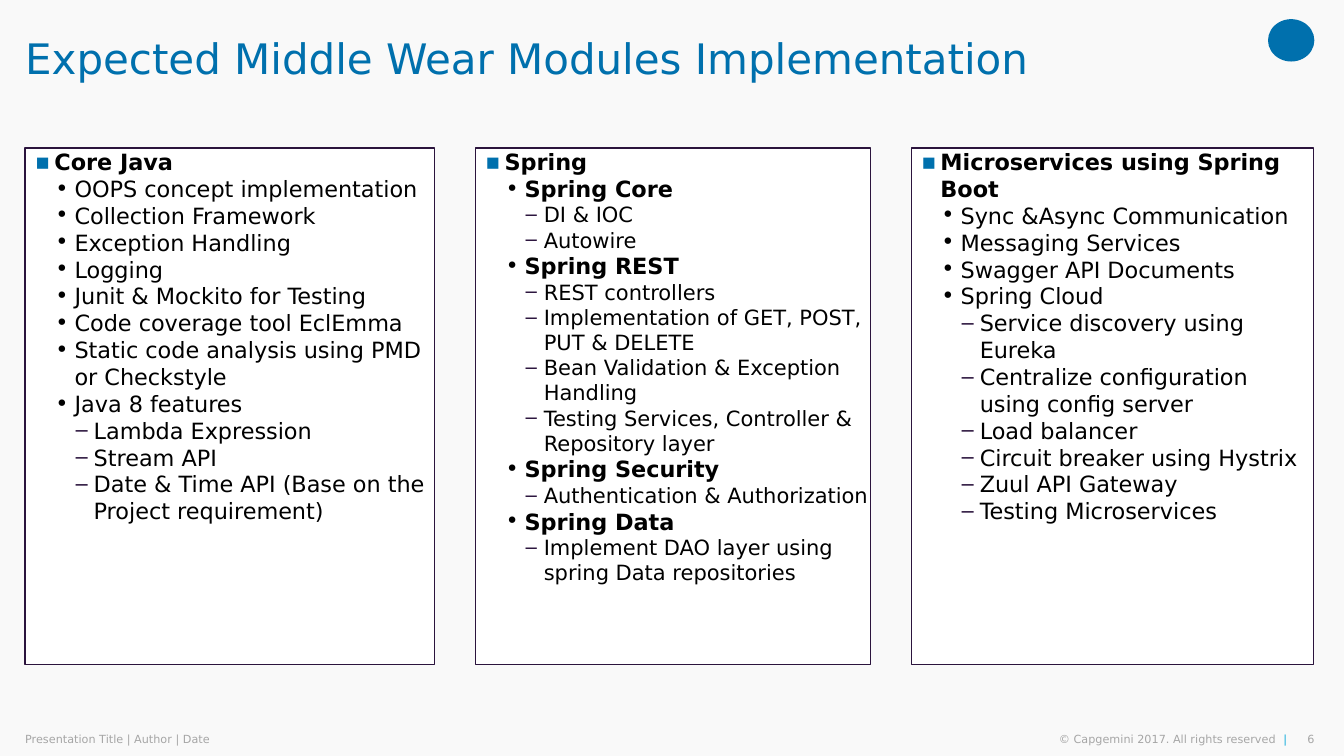
from dataclasses import dataclass

from lxml.etree import SubElement
from pptx import Presentation
from pptx.dml.color import RGBColor
from pptx.enum.shapes import MSO_SHAPE as Shape
from pptx.enum.text import MSO_ANCHOR as Anchor, MSO_AUTO_SIZE as AutoSize, PP_ALIGN as Align
from pptx.oxml.ns import qn
from pptx.util import Inches, Pt

# The slide is a grid of 160 columns by 90 rows, each a twelfth of an inch.
COLUMNS, ROWS = 160, 90
MARGIN = 3
PANEL_GAP = 4.86
PANEL_TOP, PANEL_HEIGHT = 17.64, 61.44
FOOTER_TOP, FOOTER_HEIGHT = 87.24, 1.56
FONT = "DejaVu Sans"
BLUE, CYAN, PURPLE = "0070AD", "12ABDB", "2B143D"
BLACK, WHITE, GREY, PAPER = "000000", "FFFFFF", "A6A6A6", "F9F9F9"


@dataclass(frozen=True)
class Bullet:
    char: str
    color: str
    indent: float


@dataclass(frozen=True)
class Item:
    level: int
    text: str
    bold: bool = False
    size: int = 16


@dataclass(frozen=True)
class Panel:
    width: float
    items: list[Item]


@dataclass(frozen=True)
class FooterPart:
    left: float
    width: float
    align: Align
    pieces: list[tuple[str, str]]


BULLETS = {
    1: Bullet("▪", BLUE, 0.29),
    2: Bullet("•", BLACK, 0.49),
    3: Bullet("‒", PURPLE, 0.68),
}
HANGING = 0.19


def heading(text: str) -> Item:
    return Item(1, text, bold=True)


def topic(text: str, bold: bool = False) -> Item:
    return Item(2, text, bold=bold)


def detail(text: str, size: int = 16) -> Item:
    return Item(3, text, size=size)


PANELS = [
    Panel(48.72, [
        heading("Core Java"),
        topic("OOPS concept implementation"),
        topic("Collection Framework"),
        topic("Exception Handling"),
        topic("Logging"),
        topic("Junit & Mockito for Testing"),
        topic("Code coverage tool EclEmma"),
        topic("Static code analysis using PMD or Checkstyle"),
        topic("Java 8 features"),
        detail("Lambda Expression"),
        detail("Stream API"),
        detail("Date & Time API (Base on the Project requirement)"),
    ]),
    Panel(47.04, [
        heading("Spring"),
        topic("Spring Core", bold=True),
        detail("DI & IOC", size=15),
        detail("Autowire", size=15),
        topic("Spring REST", bold=True),
        detail("REST controllers", size=15),
        detail("Implementation of GET, POST, PUT & DELETE", size=15),
        detail("Bean Validation & Exception Handling", size=15),
        detail("Testing Services, Controller & Repository layer", size=15),
        topic("Spring Security", bold=True),
        detail("Authentication & Authorization", size=15),
        topic("Spring Data", bold=True),
        detail("Implement DAO layer using spring Data repositories", size=15),
    ]),
    Panel(47.88, [
        heading("Microservices using Spring Boot"),
        topic("Sync &Async Communication"),
        topic("Messaging Services"),
        topic("Swagger API Documents"),
        topic("Spring Cloud"),
        detail("Service discovery using Eureka"),
        detail("Centralize configuration using config server"),
        detail("Load balancer"),
        detail("Circuit breaker using Hystrix"),
        detail("Zuul API Gateway"),
        detail("Testing Microservices"),
    ]),
]

FOOTER = [
    FooterPart(MARGIN, 61.92, Align.LEFT, [("Presentation Title | Author | Date", GREY)]),
    FooterPart(118.32, 34.92, Align.RIGHT,
               [("© Capgemini 2017. All rights reserved  ", GREY), ("|", CYAN)]),
    FooterPart(154.2, 2.28, Align.RIGHT, [("6", GREY)]),
]


def rgb(color: str) -> RGBColor:
    return RGBColor.from_string(color)


def cells(*counts: float) -> list[int]:
    """Turn grid counts into slide lengths."""
    return [Inches(count / 12) for count in counts]


def write(paragraph, text: str, *, size: float, color: str, bold: bool = False) -> None:
    run = paragraph.add_run()
    run.text = text
    run.font.name = FONT
    run.font.size = Pt(size)
    run.font.bold = bold
    run.font.color.rgb = rgb(color)


def prepare_frame(frame, anchor: Anchor) -> None:
    """Wrap the text and remove the insets."""
    frame.word_wrap = True
    frame.auto_size = AutoSize.NONE
    frame.vertical_anchor = anchor
    frame.margin_left = frame.margin_right = frame.margin_top = frame.margin_bottom = 0


def add_bullet(paragraph, bullet: Bullet) -> None:
    props = paragraph._p.get_or_add_pPr()
    props.set("marL", str(Inches(bullet.indent)))
    props.set("indent", str(-Inches(HANGING)))
    SubElement(SubElement(props, qn("a:buClr")), qn("a:srgbClr")).set("val", bullet.color)
    SubElement(props, qn("a:buFont")).set("typeface", FONT)
    SubElement(props, qn("a:buChar")).set("char", bullet.char)


def add_title(slide, text: str) -> None:
    title = slide.shapes.title
    title.left, title.top, title.width, title.height = cells(MARGIN, 0, 146, 14.52)
    prepare_frame(title.text_frame, Anchor.MIDDLE)
    paragraph = title.text_frame.paragraphs[0]
    paragraph.alignment = Align.LEFT
    paragraph.line_spacing = 0.9
    write(paragraph, text, size=30, color=BLUE)


def add_panel(slide, left: float, panel: Panel) -> None:
    box = slide.shapes.add_shape(
        Shape.RECTANGLE, *cells(left, PANEL_TOP, panel.width, PANEL_HEIGHT))
    box.shadow.inherit = False
    box.fill.solid()
    box.fill.fore_color.rgb = rgb(WHITE)
    box.line.color.rgb = rgb(PURPLE)
    box.line.width = Pt(1)
    frame = box.text_frame
    prepare_frame(frame, Anchor.TOP)
    for number, item in enumerate(panel.items):
        paragraph = frame.add_paragraph() if number else frame.paragraphs[0]
        paragraph.level = item.level
        paragraph.alignment = Align.LEFT
        add_bullet(paragraph, BULLETS[item.level])
        write(paragraph, item.text, size=item.size, color=BLACK, bold=item.bold)


def add_footer_part(slide, part: FooterPart) -> None:
    box = slide.shapes.add_textbox(*cells(part.left, FOOTER_TOP, part.width, FOOTER_HEIGHT))
    prepare_frame(box.text_frame, Anchor.MIDDLE)
    paragraph = box.text_frame.paragraphs[0]
    paragraph.alignment = part.align
    for text, color in part.pieces:
        write(paragraph, text, size=8, color=color)


def add_emblem(slide) -> None:
    emblem = slide.shapes.add_shape(Shape.OVAL, *cells(150.96, 2.28, 5.52, 5.04))
    emblem.shadow.inherit = False
    emblem.fill.solid()
    emblem.fill.fore_color.rgb = rgb(BLUE)
    emblem.line.fill.background()


def main() -> None:
    deck = Presentation()
    deck.slide_width, deck.slide_height = cells(COLUMNS, ROWS)
    slide = deck.slides.add_slide(deck.slide_layouts[5])
    slide.background.fill.solid()
    slide.background.fill.fore_color.rgb = rgb(PAPER)
    add_emblem(slide)
    for part in FOOTER:
        add_footer_part(slide, part)
    add_title(slide, "Expected Middle Wear Modules Implementation")
    left = MARGIN
    for panel in PANELS:
        add_panel(slide, left, panel)
        left += panel.width + PANEL_GAP
    deck.save("out.pptx")


if __name__ == "__main__":
    main()
